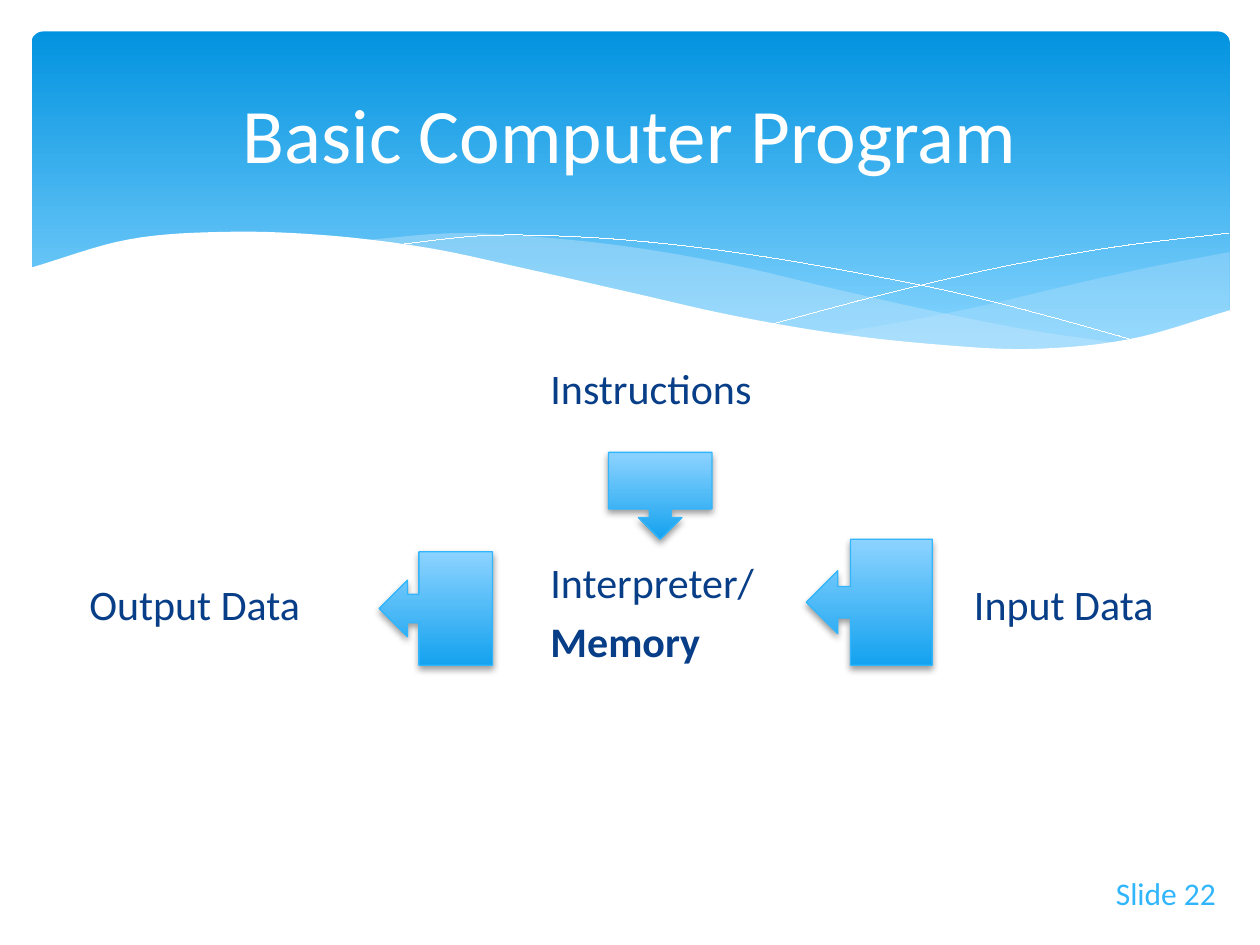
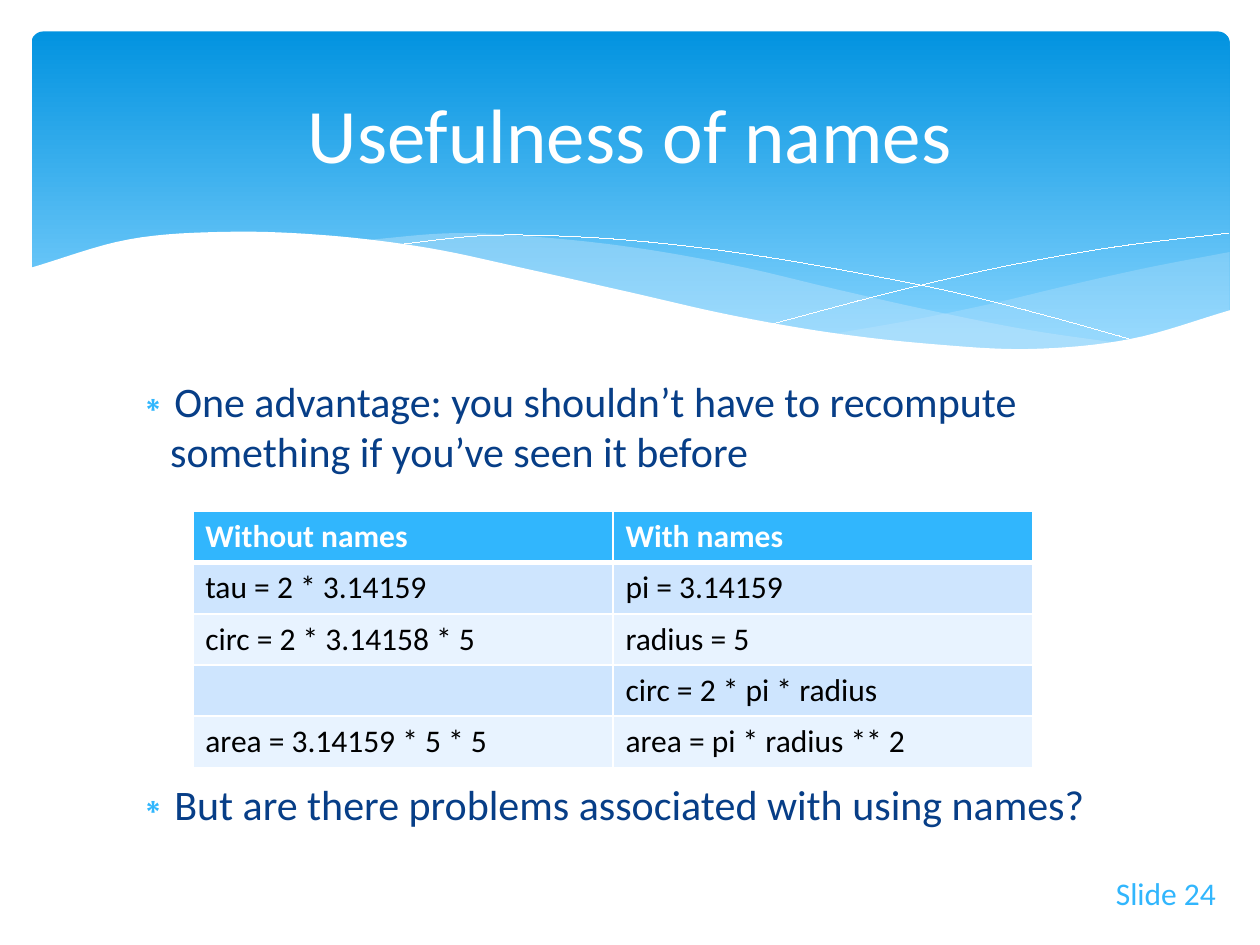
"""Build two slides on computer programs and names under a shared blue wave band."""
from lxml.etree import SubElement
from pptx import Presentation
from pptx.dml.color import RGBColor
from pptx.enum.shapes import MSO_SHAPE as SHAPE
from pptx.enum.text import MSO_ANCHOR as ANCHOR, MSO_AUTO_SIZE as AUTO_SIZE, PP_ALIGN as ALIGN
from pptx.oxml import parse_xml
from pptx.oxml.ns import nsdecls, qn
from pptx.util import Inches, Pt

FONT = "Calibri"
TITLE_SIZE, BODY_SIZE, SMALL_SIZE = 44, 24, 18
PARAGRAPH_GAP = Pt(0.2 * BODY_SIZE)
TABLE_GAP = Pt(172.5)
LABEL_WIDTH, LABEL_HEIGHT = 2.92, 0.55
CURVE_STEPS = 8
COLORS = {
    "white": "FFFFFF", "black": "000000", "text": "073E87", "accent": "31B6FD",
    "band_top": "0293E0", "band_bottom": "83D3FE", "wave": "C6E7FC",
    "arrow_top": "8CD3FF", "arrow_bottom": "14A2EF",
    "row_dark": "CEE5FE", "row_light": "E8F3FF",
}
RGB = {name: RGBColor.from_string(value) for name, value in COLORS.items()}


def smooth_curve(left, right, heights):
    """Join heights, spread evenly from left to right, by a Catmull-Rom spline."""
    before_first = 2 * heights[0] - heights[1]
    after_last = 2 * heights[-1] - heights[-2]
    knots = [before_first, *heights, after_last]
    spans = len(heights) - 1
    points = []
    for step in range(spans * CURVE_STEPS + 1):
        span = min(step // CURVE_STEPS, spans - 1)
        t = step / CURVE_STEPS - span
        previous, start, end, following = knots[span:span + 4]
        y = start + t / 2 * (
            end - previous
            + t * (2 * previous - 5 * start + 4 * end - following)
            + t * t * (3 * (start - end) + following - previous))
        x = left + (right - left) * step / (spans * CURVE_STEPS)
        points.append((Inches(x), Inches(y)))
    return points


def style_text(text_frame, size, color, align=ALIGN.LEFT):
    """Give every run of a text frame the shared font, a size and a colour."""
    text_frame.word_wrap = True
    text_frame.auto_size = AUTO_SIZE.NONE
    for paragraph in text_frame.paragraphs:
        paragraph.alignment = align
        for run in paragraph.runs:
            run.font.name = FONT
            run.font.size = Pt(size)
            run.font.color.rgb = RGB[color]


presentation = Presentation()
presentation.slide_width = Inches(10)
presentation.slide_height = Inches(7.5)
layout = presentation.slide_layouts[1]
program_slide = presentation.slides.add_slide(layout)
names_slide = presentation.slides.add_slide(layout)

band = program_slide.shapes.add_shape(
    SHAPE.ROUNDED_RECTANGLE, Inches(0.25), Inches(0.25), Inches(9.51), Inches(2.7))
band.adjustments[0] = 0.034
band.line.fill.background()
band_parts = [band]

right_crest = [2.65, 2.54, 2.41, 2.26, 2.12, 2]
right_trough = [2.65, 2.73, 2.77, 2.77, 2.67, 2.47]
middle_crest = [1.91, 1.85, 1.89, 1.98, 2.12, 2.3, 2.47, 2.62, 2.73]
middle_trough = [1.91, 2.03, 2.19, 2.37, 2.53, 2.66, 2.75, 2.78, 2.73]
falling_line = [1.95, 1.87, 1.88, 1.94, 2.04, 2.17, 2.32, 2.51, 2.72]
rising_line = [2.57, 2.33, 2.12, 1.96, 1.85]
page_crest = [2.13, 1.9, 1.84, 1.87, 1.97, 2.14, 2.32, 2.5, 2.64, 2.73, 2.77, 2.69, 2.46]
page_floor = [3.29, 3.29]

for left, right, upper, lower, color, opacity in [
        (6.61, 9.76, right_crest, right_trough, "wave", 29),
        (2.86, 8.93, middle_crest, middle_trough, "wave", 40),
        (3.09, 9.07, falling_line, None, "white", 100),
        (6.13, 9.75, rising_line, None, "white", 100),
        (0.23, 9.77, page_crest, page_floor, "white", 100)]:
    outline = smooth_curve(left, right, upper)
    if lower:
        outline += reversed(smooth_curve(left, right, lower))
    builder = program_slide.shapes.build_freeform(*outline[0])
    builder.add_line_segments(outline[1:], close=bool(lower))
    wave = builder.convert_to_shape()
    wave.shadow.inherit = False
    if lower:
        wave.fill.solid()
        wave.fill.fore_color.rgb = RGB[color]
        wave.line.fill.background()
        tint = wave.element.spPr.find(qn("a:solidFill")).find(qn("a:srgbClr"))
        SubElement(tint, qn("a:alpha"), val=str(opacity * 1000))
    else:
        wave.fill.background()
        wave.line.color.rgb = RGB[color]
        wave.element.spPr.find(qn("a:ln")).set("w", "0")
    band_parts.append(wave)

for position, part in enumerate(band_parts, start=2):
    layout.shapes.element.insert(position, part.element)

for slide, heading, number in [
        (program_slide, "Basic Computer Program", 22), (names_slide, "Usefulness of names", 24)]:
    title = slide.shapes.title
    title.left, title.top = Inches(0.5), Inches(0.37)
    title.width, title.height = Inches(9), Inches(1.37)
    title.text_frame.text = heading
    title.text_frame.vertical_anchor = ANCHOR.MIDDLE
    style_text(title.text_frame, TITLE_SIZE, "white", ALIGN.CENTER)
    footer = slide.shapes.add_textbox(Inches(8.19), Inches(6.89), Inches(1.56), Inches(0.4))
    footer.text_frame.text = f"Slide {number}"
    style_text(footer.text_frame, SMALL_SIZE, "accent", ALIGN.RIGHT)

input_label = program_slide.placeholders[1]
output_label, instructions_label, interpreter_label = [
    program_slide.shapes.add_textbox(0, 0, 0, 0) for _ in range(3)]
for label, text, left, top in [
        (input_label, "Input Data", 7.56, 4.54),
        (output_label, "Output Data", 0.54, 4.54),
        (instructions_label, "Instructions", 4.2, 2.83),
        (interpreter_label, "Interpreter/\nMemory", 4.2, 4.37)]:
    label.text_frame.text = text
    paragraphs = label.text_frame.paragraphs
    label.left, label.top = Inches(left), Inches(top)
    label.width, label.height = Inches(LABEL_WIDTH), Inches(LABEL_HEIGHT * len(paragraphs))
    style_text(label.text_frame, BODY_SIZE, "text")
    for paragraph in paragraphs:
        paragraph.space_before = PARAGRAPH_GAP
        properties = paragraph._p.get_or_add_pPr()
        properties.set("marL", str(Inches(0.07)))
        properties.set("indent", "0")
        SubElement(properties, qn("a:buNone"))
interpreter_label.text_frame.paragraphs[1].runs[0].font.bold = True

arrows = [
    program_slide.shapes.add_shape(
        kind, Inches(left), Inches(top), Inches(width), Inches(height))
    for kind, left, top, width, height in [
        (SHAPE.LEFT_ARROW_CALLOUT, 3.01, 4.38, 0.9, 0.9),
        (SHAPE.LEFT_ARROW_CALLOUT, 6.4, 4.28, 1, 1),
        (SHAPE.DOWN_ARROW_CALLOUT, 4.83, 3.59, 0.82, 0.69)]]

for shape in [band, *arrows]:
    name, end = ("band", 0.9) if shape is band else ("arrow", 1)
    shape.shadow.inherit = False
    shape.fill.gradient()
    shape.fill.gradient_angle = 270
    top_stop, bottom_stop = shape.fill.gradient_stops
    top_stop.color.rgb, top_stop.position = RGB[f"{name}_top"], 0
    bottom_stop.color.rgb, bottom_stop.position = RGB[f"{name}_bottom"], end

for arrow in arrows:
    arrow.line.color.rgb = RGB["accent"]
    arrow.line.width = Pt(0.75)
    effects = arrow.element.spPr.find(qn("a:effectLst"))
    shadow = SubElement(effects, qn("a:outerShdw"), blurRad=str(Pt(4)), dist=str(Pt(2)),
                        dir="5400000", rotWithShape="0")
    shade = SubElement(shadow, qn("a:srgbClr"), val=COLORS["black"])
    SubElement(shade, qn("a:alpha"), val="38000")

body = names_slide.placeholders[1]
body.left, body.top = Inches(0.95), Inches(2.93)
body.width, body.height = Inches(8.1), Inches(3.97)
body.text_frame.text = (
    "One advantage: you shouldn’t have to recompute something if you’ve seen it before\n"
    "But are there problems associated with using names?")
style_text(body.text_frame, BODY_SIZE, "text")
for paragraph, gap in zip(body.text_frame.paragraphs, (PARAGRAPH_GAP, TABLE_GAP)):
    paragraph.space_before = gap
    properties = paragraph._p.get_or_add_pPr()
    properties.set("marL", str(Inches(0.3)))
    properties.set("indent", str(-Inches(0.3)))
    bullet_color = SubElement(properties, qn("a:buClr"))
    SubElement(bullet_color, qn("a:srgbClr"), val=COLORS["accent"])
    SubElement(properties, qn("a:buChar"), char="∗")

rows = [
    ("Without names", "With names"),
    ("tau = 2 * 3.14159", "pi = 3.14159"),
    ("circ = 2 * 3.14158 * 5", "radius = 5"),
    ("", "circ = 2 * pi * radius"),
    ("area = 3.14159 * 5 * 5", "area = pi * radius ** 2"),
]
table = names_slide.shapes.add_table(
    len(rows), len(rows[0]), Inches(1.53), Inches(4.06), Inches(6.67), Inches(2.03)).table
for row_index, row in enumerate(rows):
    is_header = row_index == 0
    row_color = "accent" if is_header else ("row_light", "row_dark")[row_index % 2]
    for column_index, text in enumerate(row):
        cell = table.cell(row_index, column_index)
        cell.text_frame.text = text
        cell.fill.solid()
        cell.fill.fore_color.rgb = RGB[row_color]
        style_text(cell.text_frame, SMALL_SIZE, "white" if is_header else "black")
        for run in cell.text_frame.paragraphs[0].runs:
            run.font.bold = is_header
        if is_header:
            cell._tc.get_or_add_tcPr().insert(0, parse_xml(
                f'<a:lnB {nsdecls("a")} w="{Pt(3)}"><a:solidFill>'
                f'<a:srgbClr val="{COLORS["white"]}"/></a:solidFill></a:lnB>'))

presentation.save("out.pptx")
